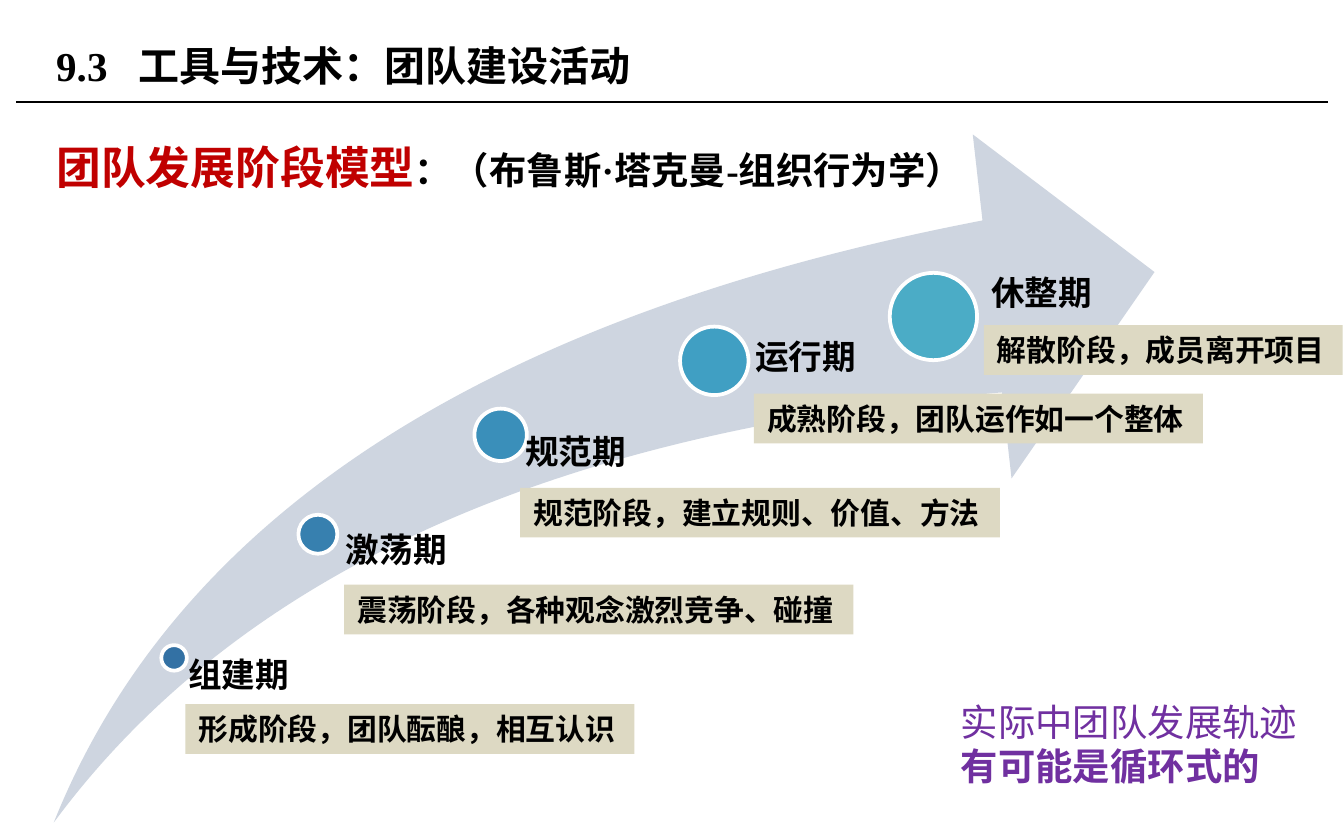
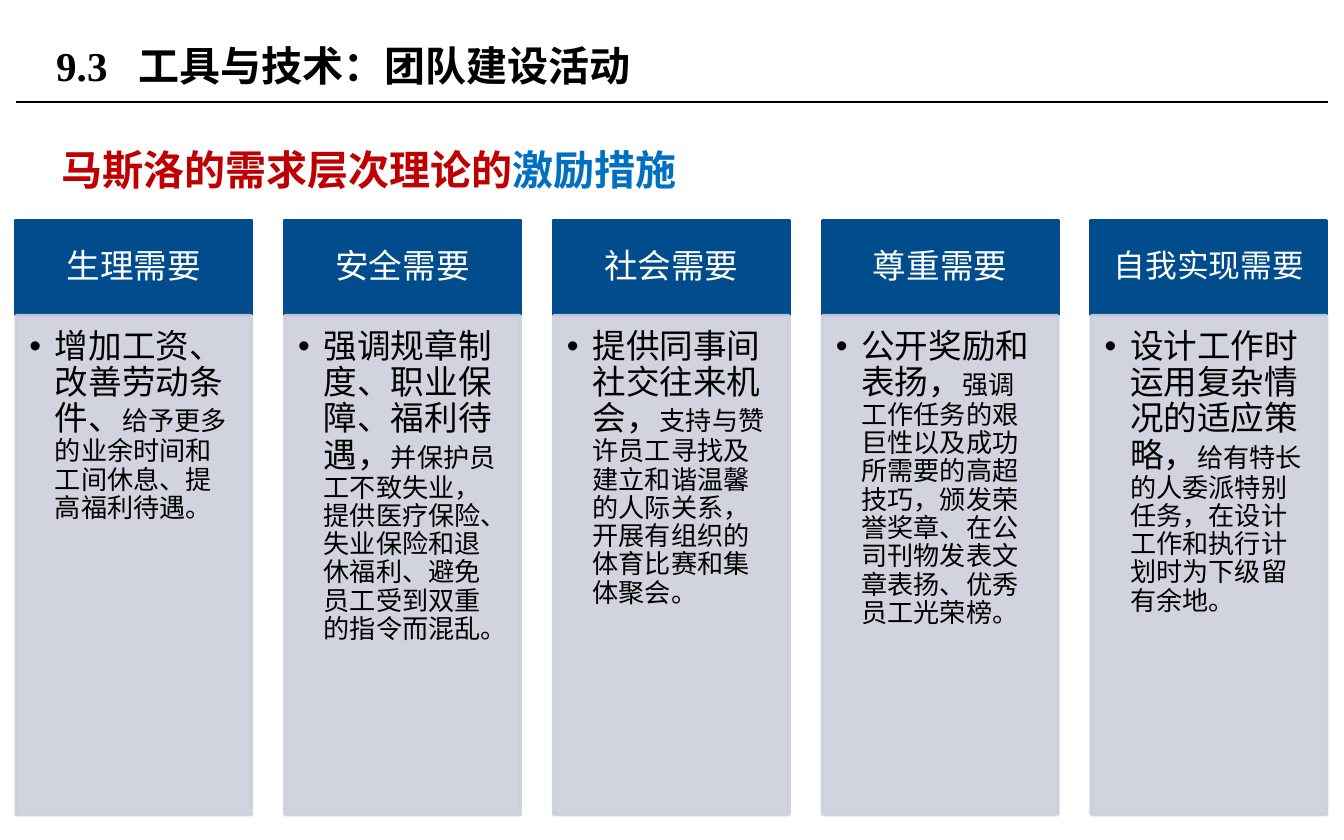
from lxml import etree
from pptx import Presentation
from pptx.dml.color import RGBColor
from pptx.enum.shapes import MSO_CONNECTOR, MSO_SHAPE
from pptx.enum.text import MSO_ANCHOR, PP_ALIGN
from pptx.oxml.ns import qn
from pptx.util import Inches, Pt

RECTANGLE = MSO_SHAPE.RECTANGLE
OVAL = MSO_SHAPE.OVAL
SWOOSH = MSO_SHAPE.SWOOSH_ARROW
STRAIGHT = MSO_CONNECTOR.STRAIGHT
TOP, MIDDLE = MSO_ANCHOR.TOP, MSO_ANCHOR.MIDDLE
LEFT, CENTER = PP_ALIGN.LEFT, PP_ALIGN.CENTER

SLIDE_WIDTH, SLIDE_HEIGHT = Inches(10), Inches(6.25)
GRID_COLUMNS = 100
UNIT = SLIDE_WIDTH / GRID_COLUMNS

SERIF, SANS, CHINESE = "Times New Roman", "Lato", "Noto Sans CJK SC"
BLACK, WHITE, RED, BLUE, PURPLE = "000000", "FFFFFF", "C00000", "0070C0", "7030A0"
SWOOSH_FILL, CAPTION_FILL = "CED5E0", "DDD9C3"
NEED_FILL, MEASURE_FILL = "014C8D", "CCD0DB"

SECTION_TITLE = "9.3\t工具与技术：团队建设活动"
TITLE_TAB = 6.1
DEFAULT_INSETS = (1, 0.5, 1, 0.5)

STAGES = [
    ("组建期", (12, 48, 1.9), "3371A4", (13, 49, 10.7, 12.2),
     "形成阶段，团队酝酿，相互认识", (13.8, 52.4, 33.4)),
    ("激荡期", (22.2, 38.3, 2.9), "3780AF", (24.2, 39.7, 12.7, 21.4),
     "震荡阶段，各种观念激烈竞争、碰撞", (25.6, 43.5, 37.9)),
    ("规范期", (35.3, 30.4, 3.9), "3A8FBA", (37, 32.4, 14.7, 28.8),
     "规范阶段，建立规则、价值、方法", (38.7, 36.3, 35.7)),
    ("运行期", (50.6, 24.3, 5.1), "409FC3", (53.5, 25.3, 13.1, 34.3),
     "成熟阶段，团队运作如一个整体", (56.1, 29.3, 33.4)),
    ("休整期", (66.2, 20.3, 6.5), "4BACC6", (70.3, 20.6, 13.9, 37.7),
     "解散阶段，成员离开项目", (73.2, 24.2, 26.7)),
]
LABEL_INSET_SHARE = 0.53
CAPTION_HEIGHT = 3.7

NEEDS = [
    ("生理需要", 18, "增加工资、改善劳动条件、",
     "给予更多的业余时间和工间休息、提高福利待遇。"),
    ("安全需要", 18, "强调规章制度、职业保障、福利待遇，",
     "并保护员工不致失业，提供医疗保险、失业保险和退休福利、避免员工受到双重的指令而混乱。"),
    ("社会需要", 18, "提供同事间社交往来机会，",
     "支持与赞许员工寻找及建立和谐温馨的人际关系，开展有组织的体育比赛和集体聚会。"),
    ("尊重需要", 18, "公开奖励和表扬，",
     "强调工作任务的艰巨性以及成功所需要的高超技巧，颁发荣誉奖章、在公司刊物发表文章表扬、优秀员工光荣榜。"),
    ("自我实现需要", 17, "设计工作时运用复杂情况的适应策略，",
     "给有特长的人委派特别任务，在设计工作和执行计划时为下级留有余地。"),
]
NEED_LEFT, NEED_STEP, NEED_WIDTH = 1.2, 20, 17.5
NEED_TOP, NEED_HEIGHT = 16.4, 7
MEASURE_TOP, MEASURE_HEIGHT = 23.5, 37.1


def grid(units):
    return round(units * UNIT)


def color(hex_code):
    return RGBColor.from_string(hex_code)


def fade(fill_parent, percent):
    rgb = fill_parent.find(qn("a:solidFill")).find(qn("a:srgbClr"))
    etree.SubElement(rgb, qn("a:alpha"), val=str(percent * 1000))


def add_block(slide, kind, box, fill, outline=None):
    block = slide.shapes.add_shape(kind, *map(grid, box))
    block.shadow.inherit = False
    block.fill.solid()
    block.fill.fore_color.rgb = color(fill)
    if outline:
        block.line.color.rgb = color(outline)
        block.line.width = Pt(2)
    else:
        block.line.fill.background()
    return block


def set_frame(frame, insets=DEFAULT_INSETS, anchor=TOP, wrap=True):
    frame.word_wrap = wrap
    frame.vertical_anchor = anchor
    (frame.margin_left, frame.margin_top,
     frame.margin_right, frame.margin_bottom) = map(grid, insets)


def add_run(paragraph, text, size, ink, font=SERIF, bold=True):
    run = paragraph.add_run()
    run.text = text
    run.font.size = Pt(size)
    run.font.bold = bold
    run.font.name = font
    run.font.color.rgb = color(ink)
    etree.SubElement(run.font._element, qn("a:ea"), typeface=CHINESE)


def write(frame, runs, align=LEFT, spacing=None):
    paragraph = frame.paragraphs[0]
    paragraph.alignment = align
    if spacing:
        paragraph.line_spacing = spacing
    for run in runs:
        add_run(paragraph, *run)
    return paragraph


def add_text(slide, box, runs, spacing=None, **frame_options):
    frame = slide.shapes.add_textbox(*map(grid, box)).text_frame
    set_frame(frame, **frame_options)
    return write(frame, runs, spacing=spacing)


def add_tab_stop(paragraph, position):
    tabs = etree.SubElement(paragraph._p.get_or_add_pPr(), qn("a:tabLst"))
    etree.SubElement(tabs, qn("a:tab"), pos=str(grid(position)), algn="l")


def add_bullet(paragraph, indent):
    properties = paragraph._p.get_or_add_pPr()
    properties.set("marL", str(grid(indent)))
    properties.set("indent", str(-grid(indent)))
    etree.SubElement(properties, qn("a:buFont"), typeface="Arial")
    etree.SubElement(properties, qn("a:buChar"), char="•")


def add_section_slide(deck):
    slide = deck.slides.add_slide(deck.slide_layouts[6])
    rule = slide.shapes.add_connector(STRAIGHT, *map(grid, (1.2, 7.6, 98.8, 7.6)))
    rule.line.color.rgb = color(BLACK)
    rule.line.width = Pt(0.75)
    etree.SubElement(rule._element.spPr, qn("a:effectLst"))
    title = add_text(slide, (3.2, 1.3, 72.8, 7.1),
                     [(SECTION_TITLE, 22, BLACK)], anchor=MIDDLE)
    add_tab_stop(title, TITLE_TAB)
    return slide


def add_stage(slide, name, marker, marker_fill, label_box):
    left, top, diameter = marker
    add_block(slide, OVAL, (left, top, diameter, diameter), marker_fill, WHITE)
    add_text(slide, label_box, [(name, 18, BLACK)], spacing=0.9,
             insets=(diameter * LABEL_INSET_SHARE, 0, 0, 0))


def add_caption(slide, text, place):
    caption = add_block(slide, RECTANGLE, (*place, CAPTION_HEIGHT), CAPTION_FILL)
    set_frame(caption.text_frame, wrap=False)
    write(caption.text_frame, [(text, 16, BLACK)])


def add_need(slide, left, name, name_size, lead, detail):
    header = add_block(slide, RECTANGLE, (left, NEED_TOP, NEED_WIDTH, NEED_HEIGHT),
                       NEED_FILL, NEED_FILL)
    set_frame(header.text_frame, (1.3, 0.8, 1.3, 0.8), MIDDLE)
    write(header.text_frame, [(name, name_size, WHITE, SANS, False)], CENTER, 0.9)

    measures = add_block(slide, RECTANGLE,
                         (left, MEASURE_TOP, NEED_WIDTH, MEASURE_HEIGHT),
                         MEASURE_FILL, MEASURE_FILL)
    fade(measures._element.spPr, 90)
    fade(measures._element.spPr.find(qn("a:ln")), 90)
    set_frame(measures.text_frame, (1, 1, 1.4, 1.6))
    paragraph = write(measures.text_frame, [(lead, 18, BLACK, SANS, False),
                                            (detail, 14, BLACK, SANS, False)],
                      spacing=0.9)
    add_bullet(paragraph, 1.9)


def build_team_stages(deck):
    slide = add_section_slide(deck)
    swoosh = add_block(slide, SWOOSH, (4, 10, 81.9, 51.2), SWOOSH_FILL)
    swoosh.adjustments[0] = 0.25
    swoosh.adjustments[1] = 0.25
    for name, marker, marker_fill, label_box, _, _ in STAGES:
        add_stage(slide, name, marker, marker_fill, label_box)
    add_text(slide, (3.2, 7.9, 92.1, 39),
             [("团队发展阶段模型", 24, RED),
              ("：（布鲁斯·塔克曼-组织行为学）", 20, BLACK)], spacing=1.5)
    for *_, caption, place in STAGES:
        add_caption(slide, caption, place)
    frame = slide.shapes.add_textbox(*map(grid, (70.5, 51.5, 27.9, 7.7))).text_frame
    set_frame(frame)
    write(frame, [("实际中团队发展轨迹", 20, PURPLE, SANS, False)])
    add_run(frame.add_paragraph(), "有可能是循环式的", 20, PURPLE, SANS)


def build_needs(deck):
    slide = add_section_slide(deck)
    add_text(slide, (4.5, 10.6, 47.9, 3.8),
             [("马斯洛的需求层次理论的", 22, RED), ("激励措施", 22, BLUE)],
             insets=(0.1, 0.1, 0, 0), anchor=MIDDLE)
    for index, need in enumerate(NEEDS):
        add_need(slide, NEED_LEFT + index * NEED_STEP, *need)


def main():
    deck = Presentation()
    deck.slide_width, deck.slide_height = SLIDE_WIDTH, SLIDE_HEIGHT
    build_team_stages(deck)
    build_needs(deck)
    deck.save("out.pptx")


if __name__ == "__main__":
    main()
